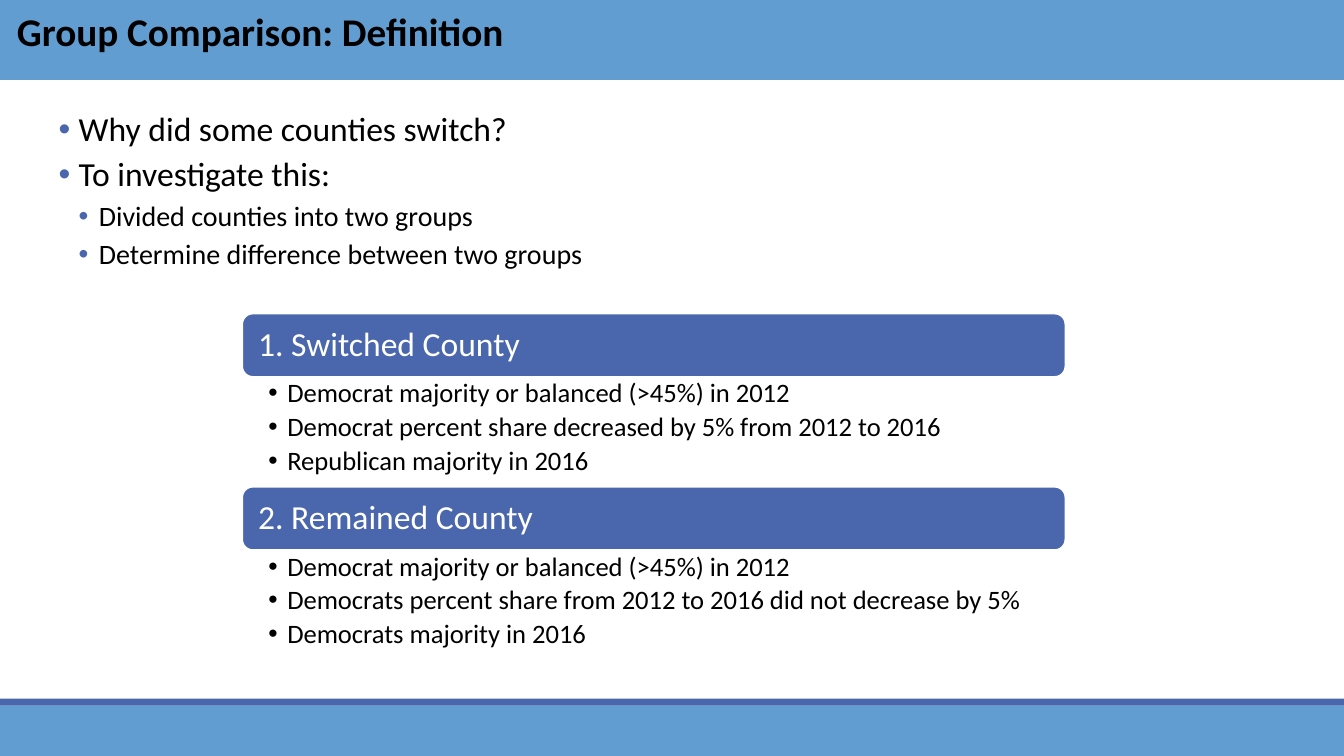
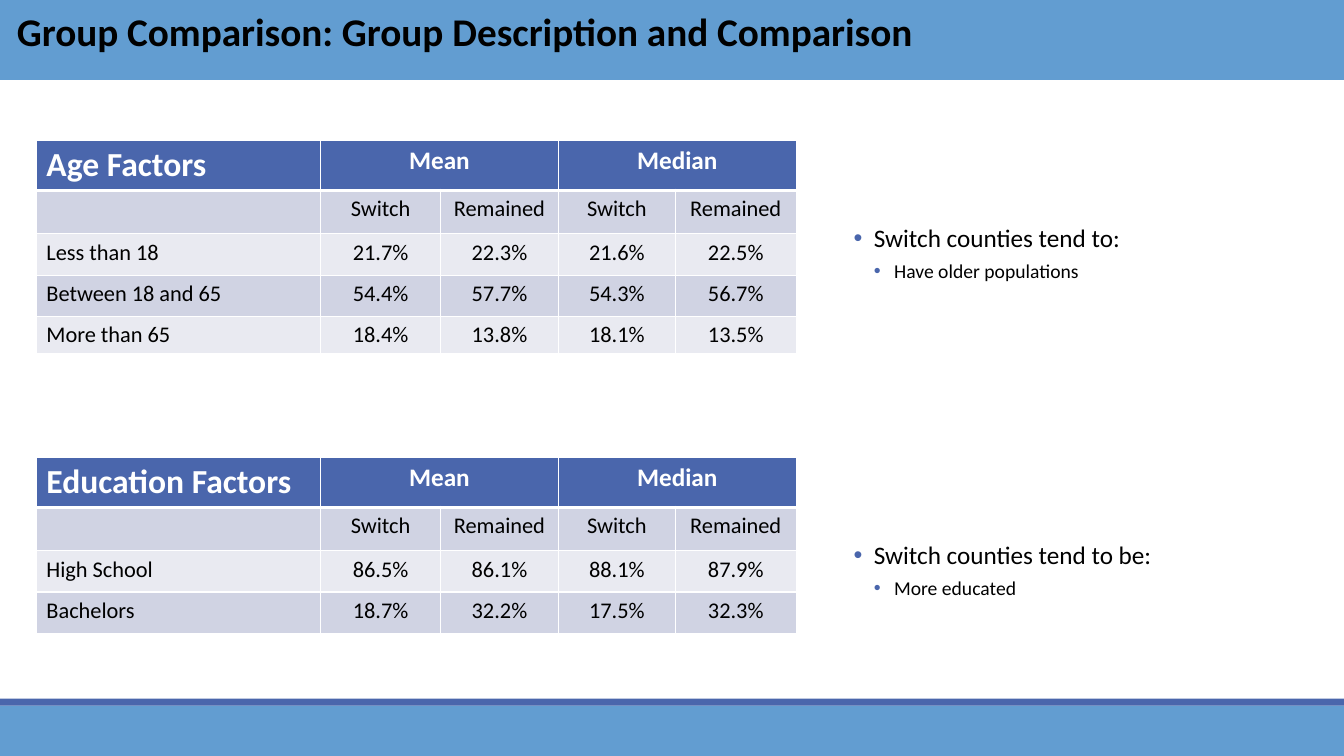
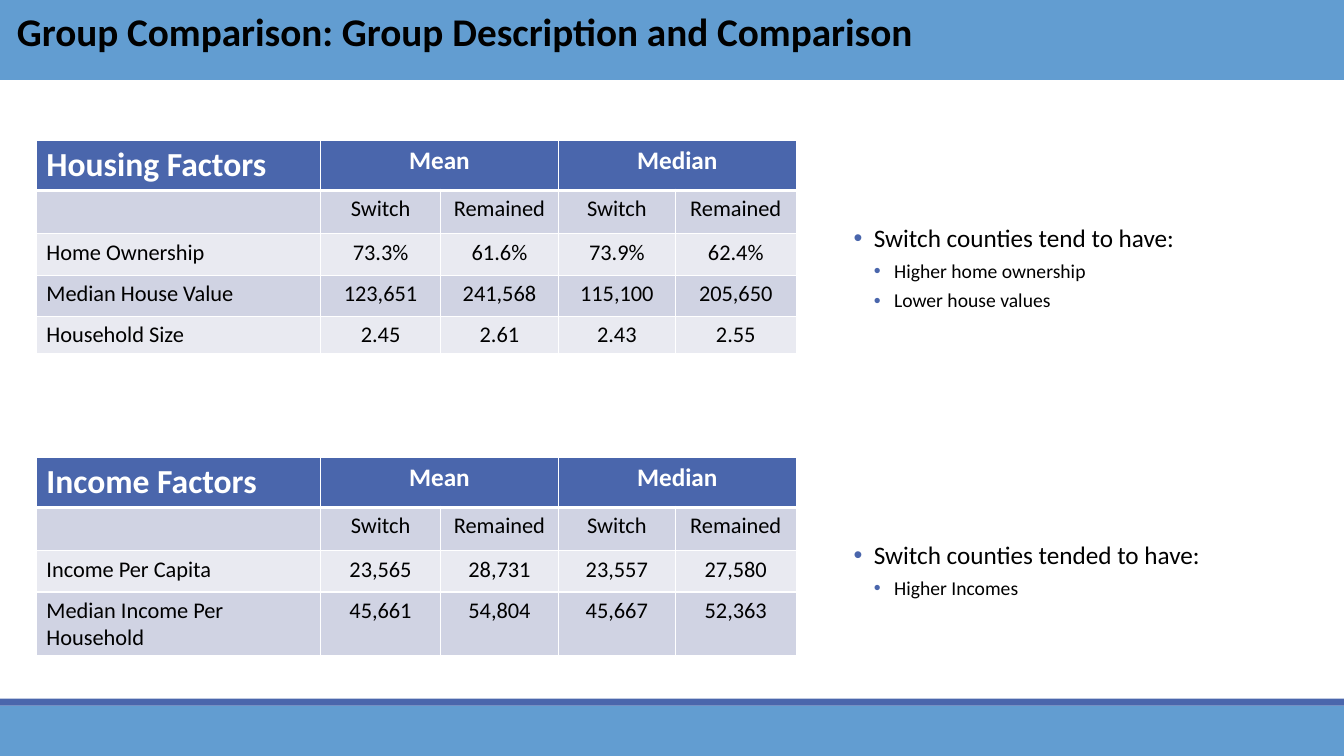
from collections import namedtuple

from lxml.etree import SubElement
from pptx import Presentation
from pptx.dml.color import RGBColor
from pptx.enum.shapes import MSO_SHAPE as Shape
from pptx.enum.text import MSO_ANCHOR as Anchor, PP_ALIGN as Align
from pptx.oxml.ns import qn
from pptx.util import Pt

COLORS = {
    "band": "629DD1",
    "accent": "4A66AC",
    "row_dark": "D0D3E3",
    "row_light": "E9EAF1",
    "white": "FFFFFF",
    "black": "000000",
}
FONT = "Calibri"
WIDTH, HEIGHT = 960, 540

Box = namedtuple("Box", "left top width height")
Bullet = namedtuple("Bullet", "size indent hang bullet_color spacing")

TITLE_SPACING = {"line_spacing": 0.9, "space_before": Pt(10)}
BODY_SPACING = {"line_spacing": 0.9, "space_before": Pt(2), "space_after": Pt(4)}
CARD_SPACING = {"line_spacing": 0.9, "space_after": Pt(3.5)}
CARD_BULLET = Bullet(19, 13.5, 13.5, "black", CARD_SPACING)

COLUMN_WIDTHS = (203, 85.7, 84.2, 83.5, 86.4)
ROW_HEIGHTS = (36, 31, 29.5, 29.5, 26.5)

prs = Presentation()
prs.slide_width, prs.slide_height = Pt(WIDTH), Pt(HEIGHT)


def rgb(name):
    """Look up a palette colour."""
    return RGBColor.from_string(COLORS[name])


def apply(target, values):
    """Set each named format value on the target."""
    for name, value in values.items():
        setattr(target, name, value)


def margins(left, top, right, bottom):
    """Return text margins in points as format values."""
    return {"margin_left": Pt(left), "margin_top": Pt(top),
            "margin_right": Pt(right), "margin_bottom": Pt(bottom)}


def write(paragraph, text, size, color="black", bold=False):
    """Put one styled run in a paragraph."""
    run = paragraph.add_run()
    run.text = text
    apply(run.font, {"name": FONT, "size": Pt(size), "bold": bold})
    run.font.color.rgb = rgb(color)


def add_panel(slide, box, fill, kind=Shape.RECTANGLE):
    """Draw a plain filled shape, ready for left-aligned text from the top."""
    panel = slide.shapes.add_shape(kind, *map(Pt, box))
    panel.shadow.inherit = False
    panel.fill.solid()
    panel.fill.fore_color.rgb = rgb(fill)
    panel.line.fill.background()
    apply(panel.text_frame, {"word_wrap": True, "vertical_anchor": Anchor.TOP})
    panel.text_frame.paragraphs[0].alignment = Align.LEFT
    return panel


def write_bullets(frame, items):
    """Fill a text frame with (text, Bullet) items."""
    for index, (text, style) in enumerate(items):
        paragraph = frame.add_paragraph() if index else frame.paragraphs[0]
        apply(paragraph, {"alignment": Align.LEFT, **style.spacing})
        props = paragraph._p.get_or_add_pPr()
        props.set("marL", str(Pt(style.indent)))
        props.set("indent", str(-Pt(style.hang)))
        bullet_color = SubElement(props, qn("a:buClr"))
        SubElement(bullet_color, qn("a:srgbClr"), val=COLORS[style.bullet_color])
        SubElement(props, qn("a:buFont"), typeface="Arial")
        SubElement(props, qn("a:buChar"), char="•")
        write(paragraph, text, style.size)


def add_outline(slide, box, points, sub_points, sizes):
    """Place main points followed by indented sub-points."""
    main, sub = (Bullet(size, indent, 14.4, "accent", BODY_SPACING)
                 for size, indent in zip(sizes, (30.24, 44.64)))
    outline = add_panel(slide, box, "white")
    apply(outline.text_frame, margins(0, 3.6, 0, 3.6))
    write_bullets(outline.text_frame, [(text, main) for text in points]
                  + [(text, sub) for text in sub_points])


def add_frame(title):
    """Start a slide with its title band and footer bands."""
    slide = prs.slides.add_slide(prs.slide_layouts[6])
    add_panel(slide, Box(0, 504, WIDTH, 36), "band")
    add_panel(slide, Box(0, 499, WIDTH, 5), "accent")
    add_panel(slide, Box(-0.5, -3, WIDTH + 0.5, 60), "band")
    heading = add_panel(slide, Box(5, 5.8, 828, 40), "band")
    paragraph = heading.text_frame.paragraphs[0]
    apply(paragraph, TITLE_SPACING)
    write(paragraph, title, 28, bold=True)
    return slide


def add_group_card(slide, box, name, criteria):
    """Place a rounded group heading with its criteria below."""
    heading_height = 45.2
    heading = add_panel(slide, box._replace(height=heading_height), "accent",
                        Shape.ROUNDED_RECTANGLE)
    heading.line.color.rgb = rgb("white")
    heading.line.width = Pt(1.25)
    apply(heading.text_frame,
          {"vertical_anchor": Anchor.MIDDLE, **margins(9.2, 7, 9.2, 7)})
    paragraph = heading.text_frame.paragraphs[0]
    paragraph.line_spacing = 0.9
    write(paragraph, name, 24, "white")

    details = slide.shapes.add_textbox(
        Pt(box.left), Pt(box.top + heading_height),
        Pt(box.width), Pt(box.height - heading_height))
    apply(details.text_frame, {"word_wrap": True, **margins(18.7, 2.2, 13.7, 2.2)})
    write_bullets(details.text_frame, [(text, CARD_BULLET) for text in criteria])


def style_cell(cell, fill, top=1, bottom=1):
    """Give a cell white borders and a fill."""
    props = cell._tc.get_or_add_tcPr()
    for side, width in (("L", 1), ("R", 1), ("T", top), ("B", bottom)):
        border = SubElement(props, qn(f"a:ln{side}"), w=str(Pt(width)))
        border_fill = SubElement(border, qn("a:solidFill"))
        SubElement(border_fill, qn("a:srgbClr"), val=COLORS["white"])
    cell.fill.solid()
    cell.fill.fore_color.rgb = rgb(fill)


def add_factor_table(slide, left, top, factor, records):
    """Place a table of means and medians for both county groups."""
    rows = [(factor, "Mean", "", "Median", ""),
            ("", *("Switch", "Remained") * 2), *records]
    heights = ROW_HEIGHTS[:len(rows)]
    table = slide.shapes.add_table(
        len(rows), len(COLUMN_WIDTHS), Pt(left), Pt(top),
        Pt(sum(COLUMN_WIDTHS)), Pt(sum(heights))).table
    apply(table, {"first_row": False, "horz_banding": False})
    for column, width in zip(table.columns, COLUMN_WIDTHS):
        column.width = Pt(width)
    for r, (values, height) in enumerate(zip(rows, heights)):
        table.rows[r].height = Pt(height)
        header = r == 0
        fill = "accent" if header else "row_dark" if r % 2 else "row_light"
        for c, value in enumerate(values):
            cell = table.cell(r, c)
            style_cell(cell, fill, top=3 if r == 1 else 1, bottom=3 if header else 1)
            paragraph = cell.text_frame.paragraphs[0]
            paragraph.alignment = Align.CENTER if c else Align.LEFT
            size = (18 if c else 24) if header else 16
            if value:
                write(paragraph, value, size, "white" if header else "black", header)
    for c in (1, 3):
        table.cell(0, c).merge(table.cell(0, c + 1))


def add_definition_slide():
    """Build the slide that defines the two county groups."""
    slide = add_frame("Group Comparison: Definition")
    add_outline(slide, Box(26, 77, 886, 130),
                ["Why did some counties switch?", "To investigate this:"],
                ["Divided counties into two groups",
                 "Determine difference between two groups"], (24, 20))
    shared = "Democrat majority or balanced (>45%) in 2012"
    groups = (
        ("1. Switched County",
         [shared, "Democrat percent share decreased by 5% from 2012 to 2016",
          "Republican majority in 2016"]),
        ("2. Remained County",
         [shared, "Democrats percent share from 2012 to 2016 did not decrease by 5%",
          "Democrats majority in 2016"]),
    )
    card = Box(173, 224, 588, 123.7)
    for index, (name, criteria) in enumerate(groups):
        add_group_card(slide, card._replace(top=card.top + index * card.height),
                       name, criteria)


def add_comparison_slide(sections):
    """Build a slide of factor tables, each with its finding beside it."""
    slide = add_frame("Group Comparison: Group Description and Comparison")
    for index, (factor, records, finding, details) in enumerate(sections):
        top = 100 + index * 226.4
        add_factor_table(slide, 26, top, factor, records)
        add_outline(slide, Box(594, top + 57.6, 282, 90), [finding], details, (18, 14))


add_definition_slide()
add_comparison_slide([
    ("Age Factors",
     [("Less than 18", "21.7%", "22.3%", "21.6%", "22.5%"),
      ("Between 18 and 65", "54.4%", "57.7%", "54.3%", "56.7%"),
      ("More than 65", "18.4%", "13.8%", "18.1%", "13.5%")],
     "Switch counties tend to:", ["Have older populations"]),
    ("Education Factors",
     [("High School", "86.5%", "86.1%", "88.1%", "87.9%"),
      ("Bachelors", "18.7%", "32.2%", "17.5%", "32.3%")],
     "Switch counties tend to be:", ["More educated"]),
])
add_comparison_slide([
    ("Housing Factors",
     [("Home Ownership", "73.3%", "61.6%", "73.9%", "62.4%"),
      ("Median House Value", "123,651", "241,568", "115,100", "205,650"),
      ("Household Size", "2.45", "2.61", "2.43", "2.55")],
     "Switch counties tend to have:",
     ["Higher home ownership", "Lower house values"]),
    ("Income Factors",
     [("Income Per Capita", "23,565", "28,731", "23,557", "27,580"),
      ("Median Income Per Household", "45,661", "54,804", "45,667", "52,363")],
     "Switch counties tended to have:", ["Higher Incomes"]),
])
prs.save("out.pptx")
